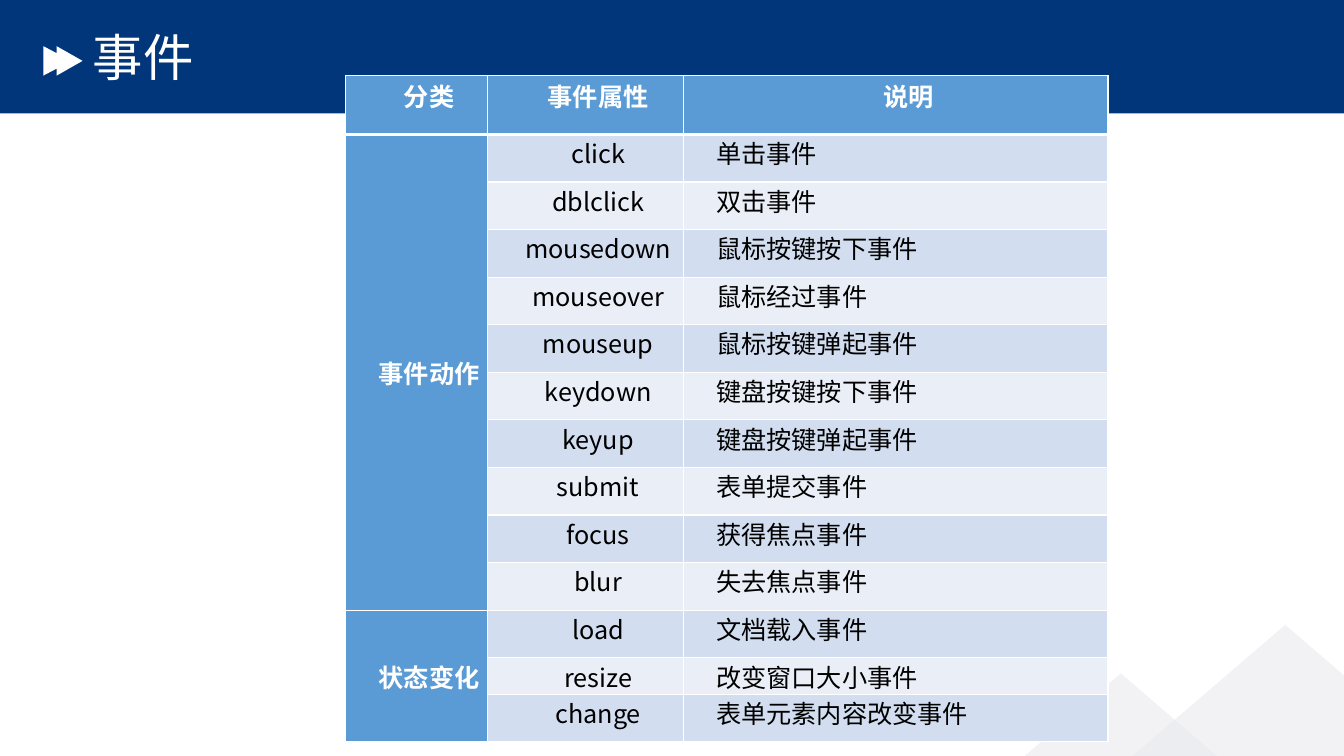
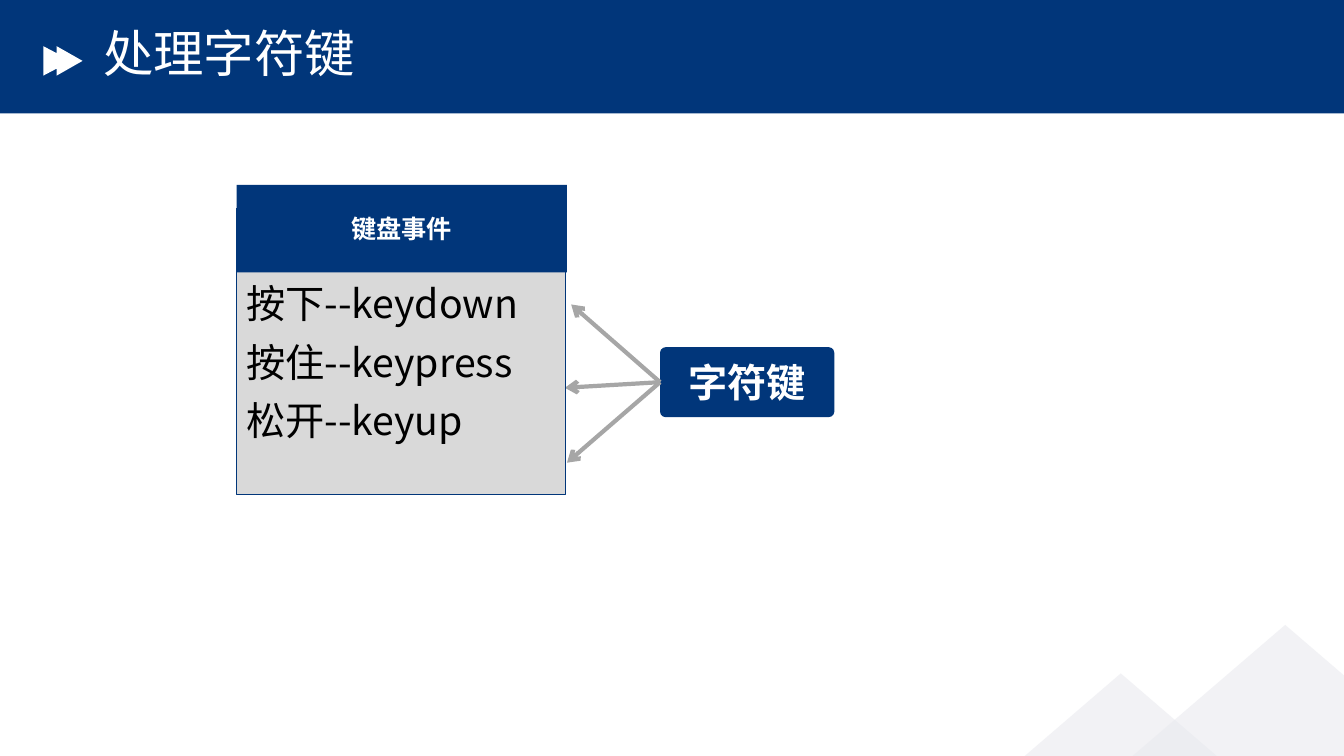
from dataclasses import dataclass

from lxml import etree
from pptx import Presentation
from pptx.dml.color import RGBColor
from pptx.enum.shapes import MSO_CONNECTOR, MSO_SHAPE
from pptx.enum.text import MSO_ANCHOR, PP_ALIGN
from pptx.oxml.ns import qn
from pptx.util import Pt

RECTANGLE, ROUNDED = MSO_SHAPE.RECTANGLE, MSO_SHAPE.ROUNDED_RECTANGLE
STRAIGHT = MSO_CONNECTOR.STRAIGHT
LEFT, CENTER = PP_ALIGN.LEFT, PP_ALIGN.CENTER
TOP, MIDDLE = MSO_ANCHOR.TOP, MSO_ANCHOR.MIDDLE
TITLE_ONLY = 5
LEFT_SIDE = 1


@dataclass(frozen=True)
class Theme:
    font: str = "Noto Sans CJK SC"
    navy: str = "01367A"
    white: str = "FFFFFF"
    black: str = "000000"
    mountain: str = "E9EAEF"
    table_head: str = "5B9BD5"
    stripes: tuple[str, str] = ("D2DEEF", "EAEFF7")
    panel: str = "D9D9D9"
    arrow: str = "A6A6A6"
    title_size: float = 36
    large_size: float = 28
    text_size: float = 18


@dataclass(frozen=True)
class Box:
    left: float
    top: float
    width: float
    height: float

    def lengths(self) -> tuple:
        return Pt(self.left), Pt(self.top), Pt(self.width), Pt(self.height)


@dataclass(frozen=True)
class Outline:
    points: tuple[tuple[float, float], ...]
    color: str
    opacity: int = 100


@dataclass(frozen=True)
class EventGroup:
    name: str
    events: tuple[tuple[str, str], ...]


THEME = Theme()
PAGE = Box(0, 0, 960, 540)
BAND = Box(0, 0, 960, 81)

OUTLINES = (
    Outline(((31, 33), (40.5, 38), (40.5, 33), (59, 43.5), (40.5, 54),
             (40.5, 49), (31, 54)), THEME.white),
    Outline(((732, 540), (800.6, 481), (869.2, 540)), THEME.mountain, 59),
    Outline(((809, 540), (918, 446.4), (960, 482.5), (960, 540)), THEME.mountain, 59),
)

TABLE_HEADINGS = ("分类", "事件属性", "说明")
COLUMN_WIDTHS = (101, 140.5, 303)
HEAD_HEIGHT, ROW_HEIGHT, LOW_ROW_HEIGHT = 42, 34, 26
LOW_EVENT = "resize"
EVENT_GROUPS = (
    EventGroup("事件动作", (
        ("click", "单击事件"), ("dblclick", "双击事件"),
        ("mousedown", "鼠标按键按下事件"), ("mouseover", "鼠标经过事件"),
        ("mouseup", "鼠标按键弹起事件"), ("keydown", "键盘按键按下事件"),
        ("keyup", "键盘按键弹起事件"), ("submit", "表单提交事件"),
        ("focus", "获得焦点事件"), ("blur", "失去焦点事件"))),
    EventGroup("状态变化", (
        ("load", "文档载入事件"), ("resize", "改变窗口大小事件"),
        ("change", "表单元素内容改变事件"))),
)

KEY_EVENTS = ("按下--keydown", "按住--keypress", "松开--keyup")
ARROW_TIPS = ((408, 217.5), (403.5, 277), (405, 330.5))


# Text and shapes
def format_text(text_frame, size: float, color: str, bold: bool = False,
                align=CENTER, spacing: float = 1.0) -> None:
    for paragraph in text_frame.paragraphs:
        paragraph.alignment = align
        paragraph.line_spacing = spacing
        for run in paragraph.runs:
            run.font.name = THEME.font
            run.font.size = Pt(size)
            run.font.bold = bold
            run.font.color.rgb = RGBColor.from_string(color)
            east_asian = etree.SubElement(run.font._element, qn("a:ea"))
            east_asian.set("typeface", THEME.font)


def paint(shape, fill: str, line: str | None = None) -> None:
    shape.shadow.inherit = False
    shape.fill.solid()
    shape.fill.fore_color.rgb = RGBColor.from_string(fill)
    if line:
        shape.line.color.rgb = RGBColor.from_string(line)
        shape.line.width = Pt(1)
    else:
        shape.line.fill.background()


def add_box(slide, box: Box, fill: str, line: str | None = None, kind=RECTANGLE):
    shape = slide.shapes.add_shape(kind, *box.lengths())
    paint(shape, fill, line)
    return shape


def add_label(slide, box: Box, text: str, size: float, kind=RECTANGLE):
    shape = add_box(slide, box, THEME.navy, kind=kind)
    shape.text_frame.text = text
    shape.text_frame.vertical_anchor = MIDDLE
    format_text(shape.text_frame, size, THEME.white, bold=True)
    return shape


def add_outline(slide, outline: Outline):
    points = [(Pt(x), Pt(y)) for x, y in outline.points]
    builder = slide.shapes.build_freeform(*points[0])
    builder.add_line_segments(points[1:], close=True)
    shape = builder.convert_to_shape()
    paint(shape, outline.color)
    if outline.opacity < 100:
        color = shape.element.spPr.find(qn("a:solidFill")).find(qn("a:srgbClr"))
        etree.SubElement(color, qn("a:alpha")).set("val", str(outline.opacity * 1000))
    return shape


def add_arrow(slide, source, tip: tuple[float, float]) -> None:
    end_x, end_y = Pt(tip[0]), Pt(tip[1])
    connector = slide.shapes.add_connector(STRAIGHT, source.left, source.top, end_x, end_y)
    connector.begin_connect(source, LEFT_SIDE)
    connector.line.color.rgb = RGBColor.from_string(THEME.arrow)
    connector.line.width = Pt(3)
    properties = connector.element.spPr
    etree.SubElement(properties.find(qn("a:ln")), qn("a:tailEnd")).set("type", "arrow")
    etree.SubElement(properties, qn("a:effectLst"))


# Shared background: drawn once, then kept on the layout
def decorate_layout(slide, layout) -> None:
    shapes = [add_box(slide, BAND, THEME.navy)]
    shapes += [add_outline(slide, outline) for outline in OUTLINES]
    for index, shape in enumerate(shapes):
        shape.element.nvSpPr.cNvPr.set("id", str(100 + index))
        layout.shapes.element.insert(2 + index, shape.element)


def set_title(slide, text: str, box: Box) -> None:
    title = slide.shapes.title
    title.left, title.top, title.width, title.height = box.lengths()
    title.text_frame.text = text
    title.text_frame.word_wrap = True
    title.text_frame.vertical_anchor = MIDDLE
    format_text(title.text_frame, THEME.title_size, THEME.white, align=LEFT, spacing=0.9)


# Event table
def set_borders(cell, top: float = 1, bottom: float = 1) -> None:
    properties = cell._tc.get_or_add_tcPr()
    for side, width in (("L", 1), ("R", 1), ("T", top), ("B", bottom)):
        line = etree.SubElement(properties, qn(f"a:ln{side}"))
        line.set("w", str(Pt(width)))
        fill = etree.SubElement(line, qn("a:solidFill"))
        etree.SubElement(fill, qn("a:srgbClr")).set("val", THEME.white)


def fill_cell(cell, text: str, fill: str, heading: bool = False,
              align=CENTER, anchor=TOP, margin_top: float = 0) -> None:
    cell.fill.solid()
    cell.fill.fore_color.rgb = RGBColor.from_string(fill)
    cell.margin_left, cell.margin_right = Pt(23), Pt(5)
    cell.margin_top, cell.margin_bottom = Pt(margin_top), 0
    cell.vertical_anchor = anchor
    cell.text_frame.text = text
    color = THEME.white if heading else THEME.black
    format_text(cell.text_frame, THEME.text_size, color, heading, align)


def add_event_table(slide, left: float, top: float) -> None:
    events = [event for group in EVENT_GROUPS for event in group.events]
    heights = [HEAD_HEIGHT] + [LOW_ROW_HEIGHT if name == LOW_EVENT else ROW_HEIGHT
                               for name, _ in events]
    box = Box(left, top, sum(COLUMN_WIDTHS), sum(heights))
    table = slide.shapes.add_table(len(heights), len(COLUMN_WIDTHS), *box.lengths()).table
    table.horz_banding = False
    for column, width in zip(table.columns, COLUMN_WIDTHS):
        column.width = Pt(width)
    for index, (row, height) in enumerate(zip(table.rows, heights)):
        row.height = Pt(height)
        for cell in row.cells:
            set_borders(cell, top=3 if index == 1 else 1, bottom=3 if index == 0 else 1)

    for column, heading in enumerate(TABLE_HEADINGS):
        fill_cell(table.cell(0, column), heading, THEME.table_head, True, margin_top=1.5)
    for row, (name, meaning) in enumerate(events, start=1):
        stripe = THEME.stripes[(row - 1) % 2]
        fill_cell(table.cell(row, 1), name, stripe)
        fill_cell(table.cell(row, 2), meaning, stripe, align=LEFT)

    first = 1
    for group in EVENT_GROUPS:
        last = first + len(group.events) - 1
        table.cell(first, 0).merge(table.cell(last, 0))
        fill_cell(table.cell(first, 0), group.name, THEME.table_head, True, anchor=MIDDLE)
        first = last + 1


# Keyboard diagram
def add_key_diagram(slide) -> None:
    source = add_label(slide, Box(471.5, 248, 124.5, 50), "字符键", THEME.large_size, ROUNDED)
    source.adjustments[0] = 0.08
    for tip in ARROW_TIPS:
        add_arrow(slide, source, tip)

    panel = add_box(slide, Box(169, 149, 235, 204.5), THEME.panel, THEME.navy)
    text_frame = panel.text_frame
    text_frame.text = "\n".join(KEY_EVENTS)
    text_frame.vertical_anchor = TOP
    text_frame.margin_top = Pt(42)
    format_text(text_frame, THEME.large_size, THEME.black, align=LEFT, spacing=1.25)
    add_label(slide, Box(169, 132, 236, 62.5), "键盘事件", THEME.text_size)


def main() -> None:
    presentation = Presentation()
    presentation.slide_width, presentation.slide_height = Pt(PAGE.width), Pt(PAGE.height)
    layout = presentation.slide_layouts[TITLE_ONLY]

    events_slide = presentation.slides.add_slide(layout)
    decorate_layout(events_slide, layout)
    set_title(events_slide, "事件", Box(59, 19.5, 582, 47))
    add_event_table(events_slide, 247, 54)

    keys_slide = presentation.slides.add_slide(layout)
    set_title(keys_slide, "处理字符键", Box(66.5, 20, 474, 40))
    add_key_diagram(keys_slide)

    presentation.save("out.pptx")


if __name__ == "__main__":
    main()
